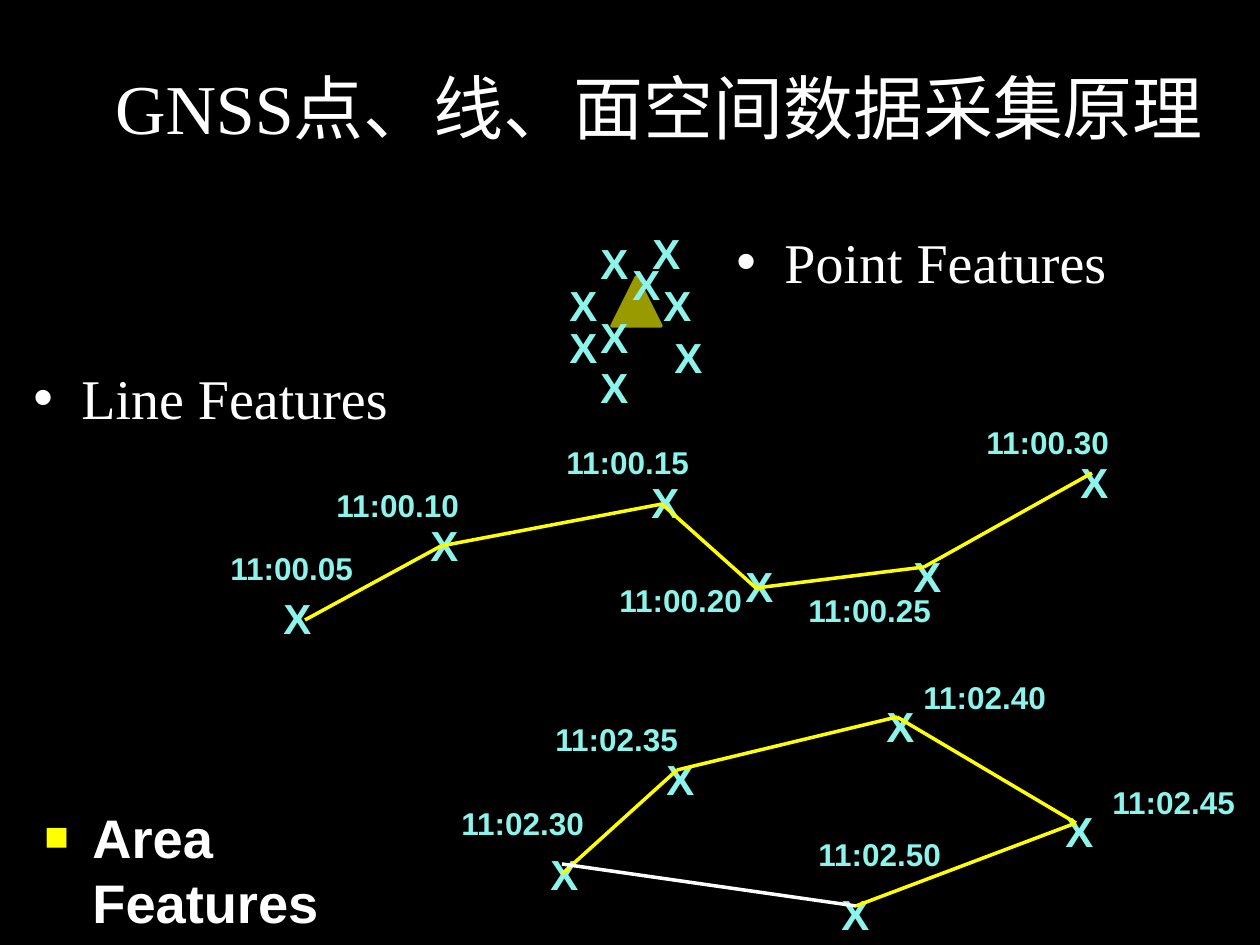
from itertools import pairwise

from lxml import etree
from pptx import Presentation
from pptx import util as u
from pptx.dml.color import RGBColor
from pptx.enum import shapes, text
from pptx.oxml.ns import qn

BLACK = RGBColor(0x00, 0x00, 0x00)
WHITE = RGBColor(0xFF, 0xFF, 0xFF)
YELLOW = RGBColor(0xFF, 0xFF, 0x00)
AQUA = RGBColor(0x8C, 0xF4, 0xEA)
OLIVE = RGBColor(0x99, 0x99, 0x00)
SANS, SERIF = "Arial", "Times New Roman"


def px(length):
    return u.Emu(round(length * 914400 / 126))


class Board:
    """Holds the slide and the style of its elements."""

    line_width = u.Pt(2)
    indent = 48
    mark_size = (53, 63)
    label_size = (150, 50)

    def __init__(self, slide):
        self.slide = slide
        slide.background.fill.solid()
        slide.background.fill.fore_color.rgb = BLACK

    def add_words(self, paragraph, wording, size, face, color, bold=False):
        run = paragraph.add_run()
        run.text = wording
        font = run.font
        font.size, font.name, font.bold = u.Pt(size), face, bold
        font.color.rgb = color

    def title(self, box, wording):
        title = self.slide.shapes.title
        title.left, title.top, title.width, title.height = map(px, box)
        frame = title.text_frame
        frame.vertical_anchor = text.MSO_ANCHOR.MIDDLE
        paragraph = frame.paragraphs[0]
        paragraph.alignment = text.PP_ALIGN.CENTER
        paragraph.line_spacing = 0.8
        self.add_words(paragraph, wording, 40, SERIF, WHITE)

    def note(self, at, box_size, lines, size):
        frame = self.slide.shapes.add_textbox(*map(px, at + box_size)).text_frame
        frame.word_wrap = False
        frame.auto_size = text.MSO_AUTO_SIZE.SHAPE_TO_FIT_TEXT
        paragraph = frame.paragraphs[0]
        for number, wording in enumerate(lines):
            if number:
                paragraph.add_line_break()
            self.add_words(paragraph, wording, size, SANS, AQUA, bold=True)

    def mark(self, at, count=1):
        self.note(at, self.mark_size, ["X"] * count, 24)

    def label(self, at, wording):
        self.note(at, self.label_size, [wording], 18)

    def heading(self, box, wording, size, face, bullet="•", bullet_color=WHITE,
                bullet_percent=100, bold=False):
        frame = self.slide.shapes.add_textbox(*map(px, box)).text_frame
        frame.word_wrap = True
        paragraph = frame.paragraphs[0]
        paragraph.space_before = u.Pt(4)
        self.add_words(paragraph, wording, size, face, WHITE, bold)
        props = paragraph._p.get_or_add_pPr()
        props.set("marL", str(px(self.indent)))
        props.set("indent", str(-px(self.indent)))
        color = etree.SubElement(props, qn("a:buClr"))
        etree.SubElement(color, qn("a:srgbClr"), val=str(bullet_color))
        etree.SubElement(props, qn("a:buSzPct"), val=str(bullet_percent * 1000))
        etree.SubElement(props, qn("a:buFont"), typeface=SANS)
        etree.SubElement(props, qn("a:buChar"), char=bullet)

    def triangle(self, box, color):
        station = self.slide.shapes.add_shape(
            shapes.MSO_SHAPE.ISOSCELES_TRIANGLE, *map(px, box))
        station.shadow.inherit = False
        station.fill.solid()
        station.fill.fore_color.rgb = color
        station.line.color.rgb = color
        station.line.width = self.line_width

    def line(self, start, end, color=YELLOW):
        segment = self.slide.shapes.add_connector(
            shapes.MSO_CONNECTOR.STRAIGHT, *map(px, start + end))
        segment.line.color.rgb = color
        segment.line.width = self.line_width
        etree.SubElement(segment._element.spPr, qn("a:effectLst"))

    def track(self, stops):
        """Each stop: time, label corner, mark corner, vertex of the line."""
        for _, _, mark_at, _ in stops:
            self.mark(mark_at)
        for (*_, start), (*_, end) in pairwise(stops):
            self.line(start, end)
        for time, label_at, _, _ in stops:
            self.label(label_at, time)


LINE_STOPS = [
    ("11:00.05", (218, 543), (271, 586), (305, 620)),
    ("11:00.10", (324, 480), (418, 513), (441, 546)),
    ("11:00.15", (554, 437), (639, 470), (662, 504)),
    ("11:00.20", (607, 575), (733, 554), (756, 588)),
    ("11:00.25", (796, 585), (901, 544), (924, 567)),
    ("11:00.30", (974, 417), (1068, 450), (1092, 473)),
]
AREA_STOPS = [
    ("11:02.30", (449, 798), (538, 842), (562, 874)),
    ("11:02.35", (543, 714), (654, 747), (677, 770)),
    ("11:02.40", (911, 672), (874, 694), (897, 717)),
    ("11:02.45", (1100, 777), (1053, 799), (1076, 823)),
    ("11:02.50", (806, 829), (829, 882), (856, 906)),
]
POINT_FIXES = [(588, 231), (640, 221), (651, 273), (557, 273),
               (620, 252), (557, 315), (662, 325)]


def main():
    deck = Presentation()
    deck.slide_width, deck.slide_height = px(1260), px(945)
    board = Board(deck.slides.add_slide(deck.slide_layouts[5]))

    # Title and feature headings
    board.title((84, 35, 1150, 158), "GNSS点、线、面空间数据采集原理")
    board.heading((32, 798, 420, 95), "Area Features", 31, SANS,
                  "■", YELLOW, 75, bold=True)
    board.heading((724, 221, 420, 84), "Point Features", 32, SERIF)
    board.heading((21, 357, 410, 84), "Line Features", 32, SERIF)

    # Point: fixes scattered around one station
    board.triangle((612, 277, 49, 49), OLIVE)
    for fix in POINT_FIXES:
        board.mark(fix)
    board.mark((588, 305), count=2)

    # Line: fixes joined in order of time
    board.track(LINE_STOPS)

    # Area: a track with a closing side
    board.track(AREA_STOPS)
    board.line((856, 906), (562, 864), WHITE)

    deck.save("out.pptx")


if __name__ == "__main__":
    main()
